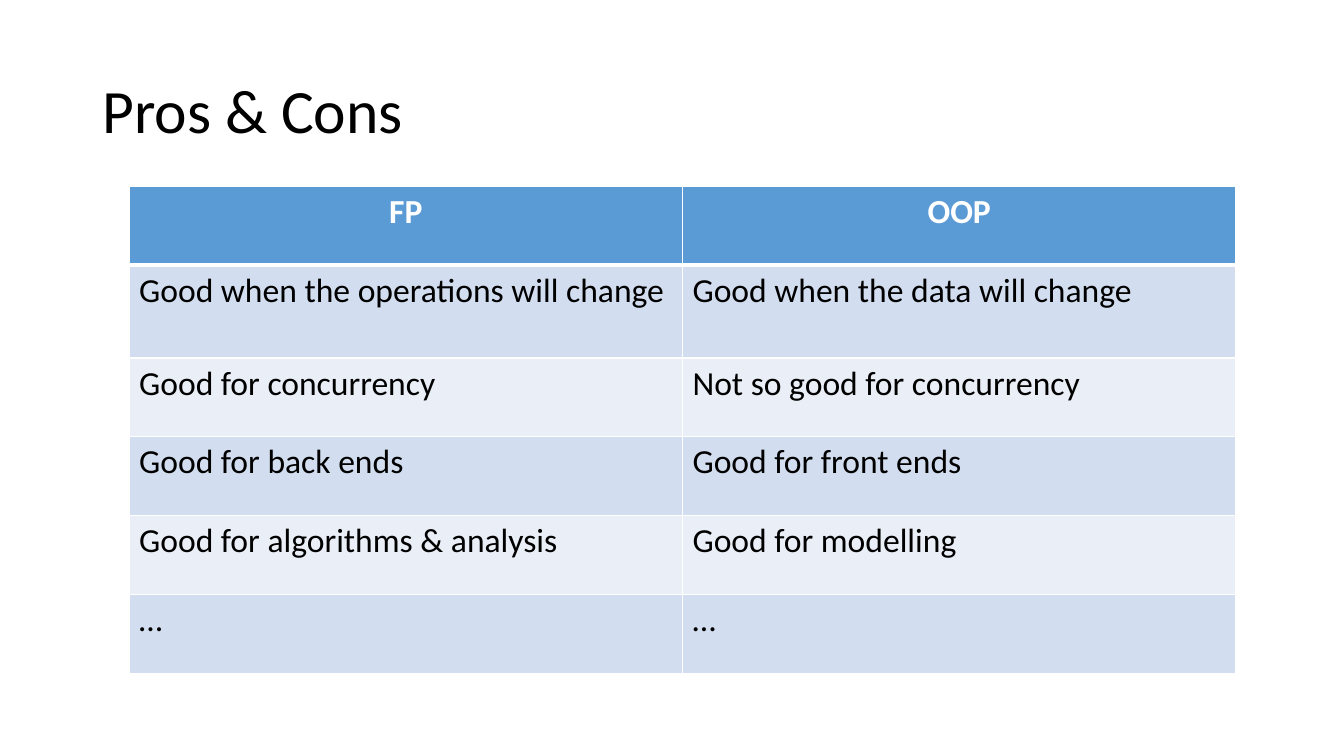
import pptx
import pptx.util
import pptx.dml.color
import pptx.enum.text
import pptx.oxml

Pt = pptx.util.Pt
Align = pptx.enum.text.PP_ALIGN
Anchor = pptx.enum.text.MSO_ANCHOR
NS = "http://schemas.openxmlformats.org/drawingml/2006/main"
FONT = "Calibri"
HUES = {
    "ink": "000000",
    "rule": "FFFFFF",
    "head": "5B9BD5",
    "dark": "D2DEEF",
    "light": "EAEFF7",
}
ROWS = [
    ("FP", "OOP"),
    ("Good when the operations will change", "Good when the data will change"),
    ("Good for concurrency", "Not so good for concurrency"),
    ("Good for back ends", "Good for front ends"),
    ("Good for algorithms & analysis", "Good for modelling"),
    ("…", "…"),
]


def hue(name):
    return pptx.dml.color.RGBColor.from_string(HUES[name])


def add_run(para, text, size, tint, bold=False):
    run = para.add_run()
    run.text = text
    run.font.name = FONT
    run.font.size = Pt(size)
    run.font.bold = bold
    run.font.color.rgb = hue(tint)


def add_rules(cell, base):
    props = cell._tc.get_or_add_tcPr()
    for side, width in (("L", 1), ("R", 1), ("T", 1), ("B", base)):
        props.append(pptx.oxml.parse_xml(
            f'<a:ln{side} xmlns:a="{NS}" w="{Pt(width)}"><a:solidFill>'
            f'<a:srgbClr val="{HUES["rule"]}"/></a:solidFill></a:ln{side}>'
        ))


def add_title(slide, text, left, top, width, height):
    title = slide.shapes.title
    title.left, title.top = Pt(left), Pt(top)
    title.width, title.height = Pt(width), Pt(height)
    frame = title.text_frame
    frame.word_wrap = True
    frame.vertical_anchor = Anchor.MIDDLE
    para = frame.paragraphs[0]
    para.alignment = Align.LEFT
    para.line_spacing = 0.9
    add_run(para, text, 44, "ink")


def add_grid(slide, rows, left, top, width, height):
    shape = slide.shapes.add_table(
        len(rows), len(rows[0]), Pt(left), Pt(top), Pt(width), Pt(height)
    )
    grid = shape.table
    extra = 10
    step = (height - extra) / len(rows)
    for col in grid.columns:
        col.width = Pt(width / len(rows[0]))
    for i, texts in enumerate(rows):
        head = i == 0
        grid.rows[i].height = Pt(step + extra if i == 1 else step)
        fill = "head" if head else ("light", "dark")[i % 2]
        for j, text in enumerate(texts):
            cell = grid.cell(i, j)
            add_rules(cell, 3 if head else 1)
            if i == 1:
                edge = cell._tc.tcPr.find(f"{{{NS}}}lnT")
                edge.set("w", str(Pt(3)))
            cell.fill.solid()
            cell.fill.fore_color.rgb = hue(fill)
            para = cell.text_frame.paragraphs[0]
            para.alignment = Align.CENTER if head else Align.LEFT
            add_run(para, text, 24, "rule" if head else "ink", head)


def main():
    deck = pptx.Presentation()
    deck.slide_width, deck.slide_height = Pt(960), Pt(540)
    slide = deck.slides.add_slide(deck.slide_layouts[5])
    add_title(slide, "Pros & Cons", 66, 28.75, 828, 104.4)
    add_grid(slide, ROWS, 92.2, 133.2, 790.6, 347.8)
    deck.save("out.pptx")


if __name__ == "__main__":
    main()
